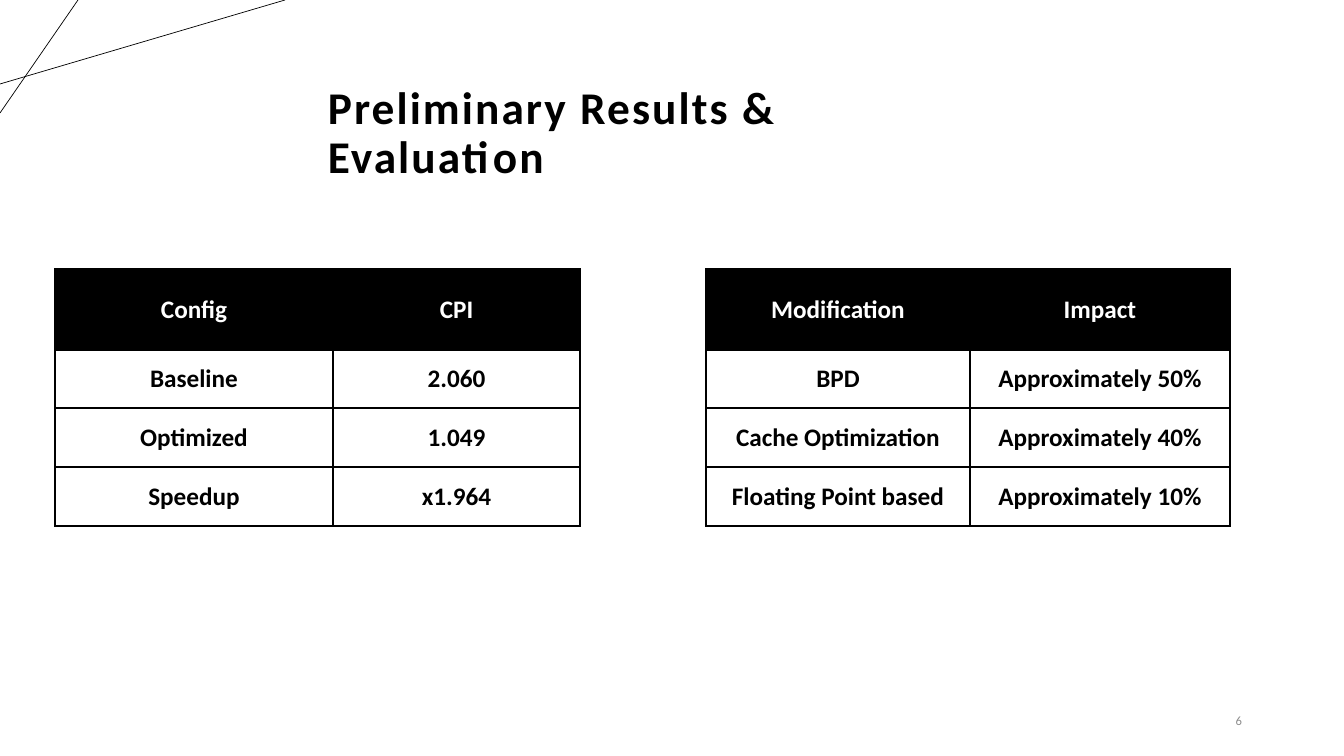
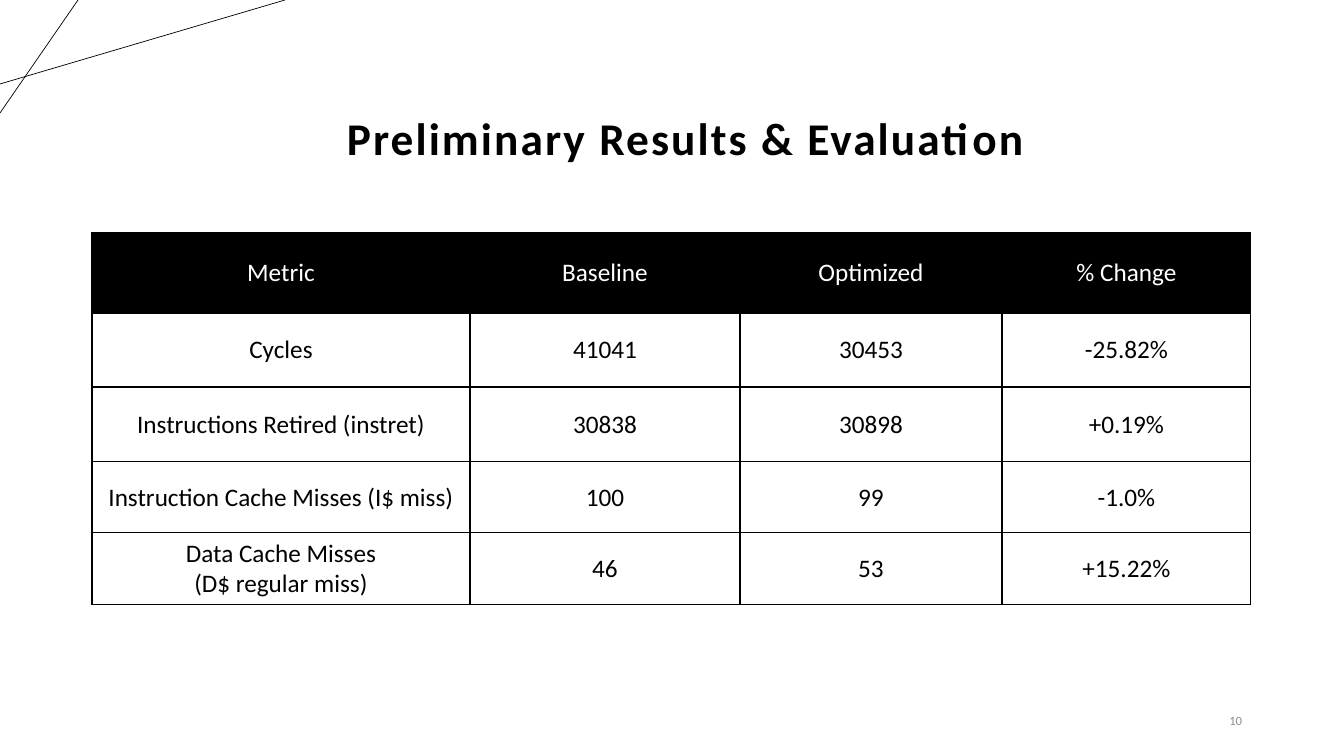
from dataclasses import dataclass

from lxml import etree
from pptx import Presentation, util as u
from pptx.dml.color import RGBColor
from pptx.enum import shapes, text
from pptx.oxml import ns


@dataclass(frozen=True)
class Theme:
    face: str = "Calibri"
    ink: str = "000000"
    paper: str = "FFFFFF"
    muted: str = "8C8C8C"
    title: float = 32.4
    cell: float = 18
    foot: float = 9
    rule: float = 0.5
    edge: float = 1


THEME = Theme()
SCALE = 914400 / 100.8
TITLE = "Preliminary Results & Evaluation"


def px(num):
    return u.Emu(round(num * SCALE))


def rgb(code):
    return RGBColor.from_string(code)


def style(para, size, color, bold=False, align=text.PP_ALIGN.LEFT):
    para.alignment = align
    font = para.font
    font.name, font.size, font.bold = THEME.face, u.Pt(size), bold
    font.color.rgb = rgb(color)


def add_text(slide, box, words, anchor):
    """Add a one-paragraph text box and return its paragraph."""
    frame = slide.shapes.add_textbox(*map(px, box)).text_frame
    frame.word_wrap = True
    frame.vertical_anchor = anchor
    frame.text = words
    return frame.paragraphs[0]


def add_title(slide, box):
    para = add_text(slide, box, TITLE, text.MSO_ANCHOR.BOTTOM)
    para.line_spacing = 0.9
    style(para, THEME.title, THEME.ink, bold=True)
    para.font._rPr.set("spc", "150")


def add_number(slide, num):
    para = add_text(slide, (1143, 701, 109, 40), str(num),
                    text.MSO_ANCHOR.MIDDLE)
    style(para, THEME.foot, THEME.muted, align=text.PP_ALIGN.RIGHT)


def add_line(slide, *ends):
    line = slide.shapes.add_connector(
        shapes.MSO_CONNECTOR.STRAIGHT, *map(px, ends))
    line.line.color.rgb = rgb(THEME.ink)
    line.line.width = u.Pt(THEME.rule)
    etree.SubElement(line._element.spPr, ns.qn("a:effectLst"))


def add_edges(cell):
    """Draw all four borders; they must precede the fill in the XML."""
    props = cell._tc.get_or_add_tcPr()
    for spot, side in enumerate("LRTB"):
        edge = etree.Element(ns.qn(f"a:ln{side}"), w=str(u.Pt(THEME.edge)))
        fill = etree.SubElement(edge, ns.qn("a:solidFill"))
        etree.SubElement(fill, ns.qn("a:srgbClr"), val=THEME.ink)
        props.insert(spot, edge)


def fill_cell(cell, words, head, bold):
    back, fore = ((THEME.ink, THEME.paper) if head
                  else (THEME.paper, THEME.ink))
    cell.text = words
    cell.vertical_anchor = text.MSO_ANCHOR.MIDDLE
    cell.fill.solid()
    cell.fill.fore_color.rgb = rgb(back)
    add_edges(cell)
    for para in cell.text_frame.paragraphs:
        style(para, THEME.cell, fore, bold, text.PP_ALIGN.CENTER)


def add_grid(slide, left, top, wides, highs, rows, bold=False):
    """Add a table with a dark heading row."""
    table = slide.shapes.add_table(
        len(highs), len(wides), px(left), px(top),
        px(sum(wides)), px(sum(highs))).table
    table.first_row = table.horz_banding = False
    for col, wide in zip(table.columns, wides):
        col.width = px(wide)
    for row, high in zip(table.rows, highs):
        row.height = px(high)
    for r, row in enumerate(rows):
        for c, words in enumerate(row):
            fill_cell(table.cell(r, c), words, r == 0, bold)


def add_slide(deck, num, box):
    """Add a slide with the shared corner lines, title and number."""
    slide = deck.slides.add_slide(deck.slide_layouts[6])
    add_line(slide, 0, 84, 285, 0)
    add_line(slide, 78, 0, 0, 113)
    add_title(slide, box)
    add_number(slide, num)
    return slide


def add_summary(deck):
    slide = add_slide(deck, 6, (318, 129, 682, 59))
    highs = (81, 58, 59, 59)
    add_grid(slide, 55, 269, (278, 247), highs, (
        ("Config", "CPI"),
        ("Baseline", "2.060"),
        ("Optimized", "1.049"),
        ("Speedup", "x1.964"),
    ), bold=True)
    add_grid(slide, 706, 269, (264, 260), highs, (
        ("Modification", "Impact"),
        ("BPD", "Approximately 50%"),
        ("Cache Optimization", "Approximately 40%"),
        ("Floating Point based", "Approximately 10%"),
    ), bold=True)


def add_metrics(deck):
    slide = add_slide(deck, 10, (337, 111, 755, 59))
    add_grid(slide, 92, 233, (378, 270, 262, 249), (80, 74, 75, 71, 72), (
        ("Metric", "Baseline", "Optimized", "% Change"),
        ("Cycles", "41041", "30453", "-25.82%"),
        ("Instructions Retired (instret)", "30838", "30898", "+0.19%"),
        ("Instruction Cache Misses (I$ miss)", "100", "99", "-1.0%"),
        ("Data Cache Misses\n(D$ regular miss)", "46", "53", "+15.22%"),
    ))


def main():
    deck = Presentation()
    deck.slide_width, deck.slide_height = px(1344), px(756)
    add_summary(deck)
    add_metrics(deck)
    deck.save("out.pptx")


if __name__ == "__main__":
    main()
